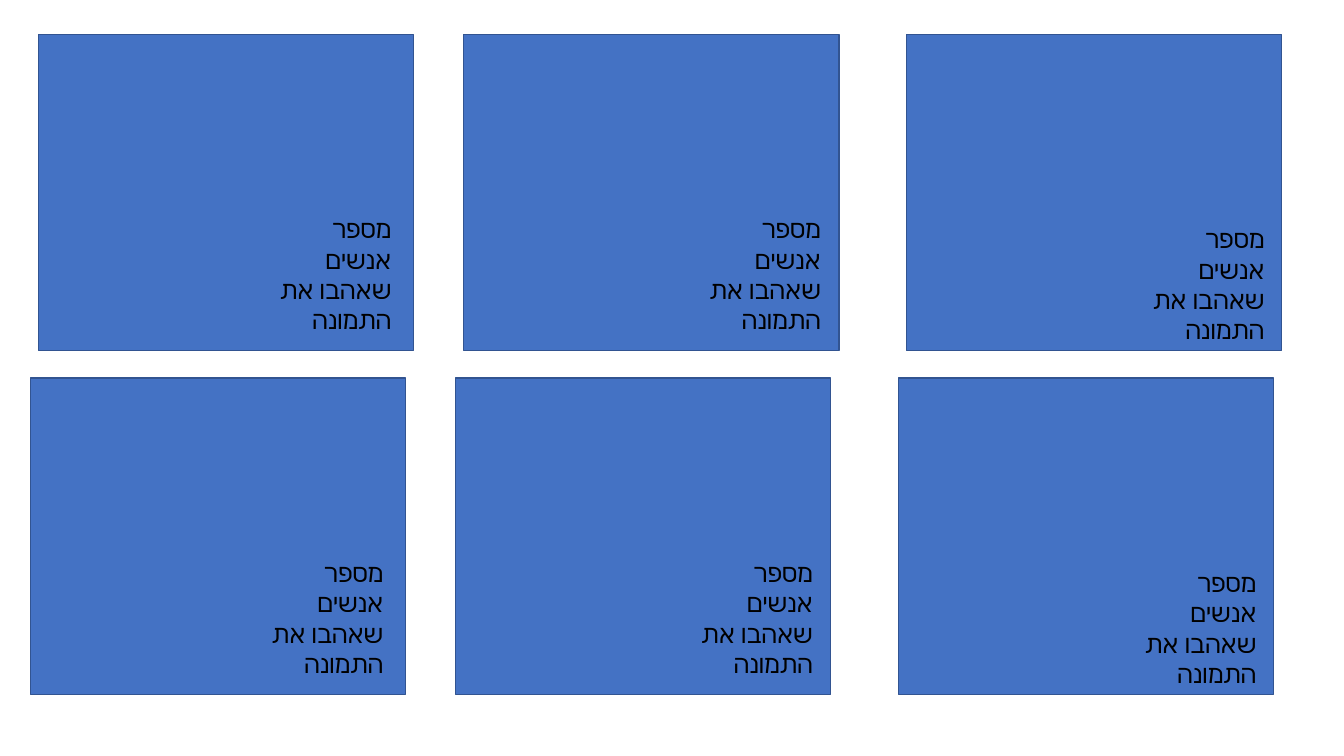
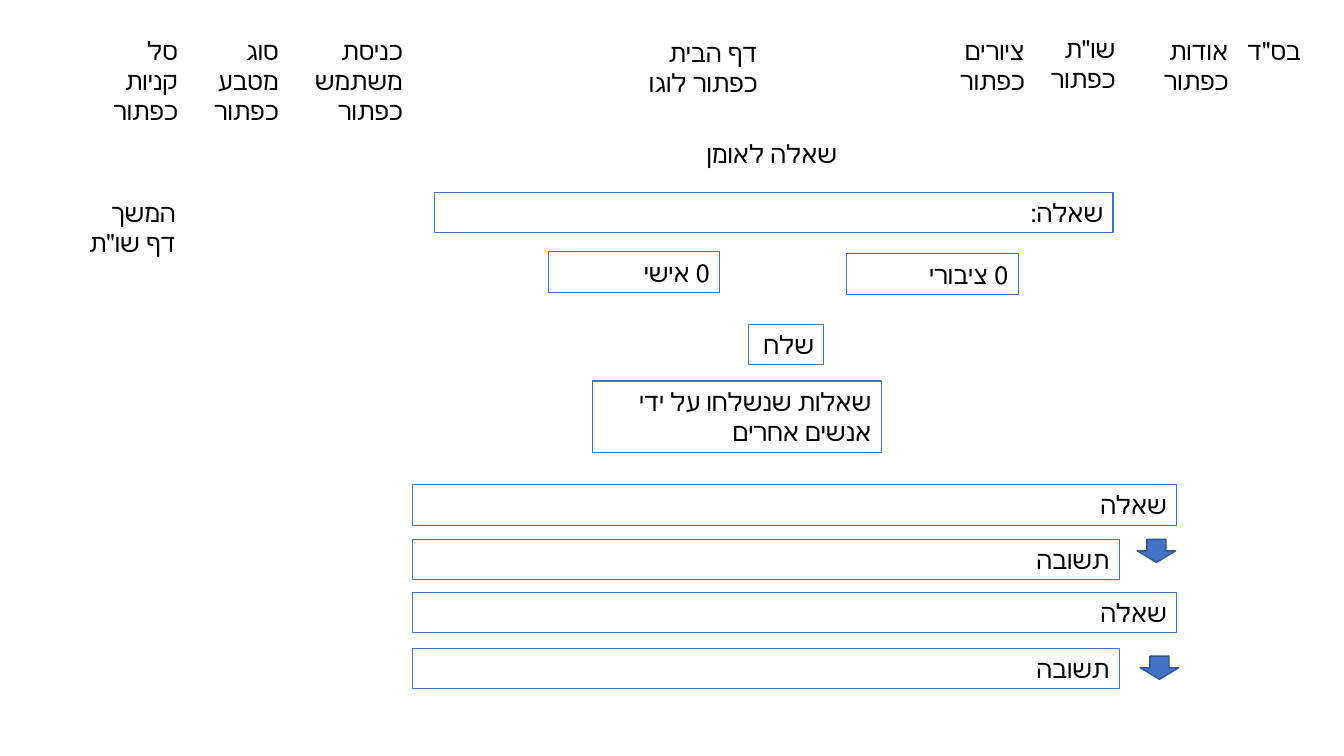
from dataclasses import dataclass
from pptx import Presentation
from pptx.dml.color import RGBColor
from pptx.enum.lang import MSO_LANGUAGE_ID
from pptx.enum.shapes import MSO_SHAPE
from pptx.enum.text import MSO_ANCHOR, MSO_AUTO_SIZE, PP_ALIGN
from pptx.util import Inches, Pt

# Content: gallery slide
CAPTION = "מספר אנשים שאהבו את התמונה"
CARD = (3.72, 3.14)
NOTE = (1.43, 1.31)
ROWS = [(0, 0.34), (-0.08, 3.75)]  # shift of the row, top
COLS = [(0.38, 2.17, 1.73), (4.6, 2.21, 1.73), (8.99, 2.22, 1.83)]  # left, note offset

# Content: question slide, each with left, top, width, height
BUTTON = "כפתור"
LABELS = [
    (['בס"ד'], (12.08, 0.3, 0.92, 0.4)),
    (["דף הבית כפתור לוגו"], (6.19, 0.32, 1.42, 0.71)),
    (["אודות", BUTTON], (10.73, 0.3, 1.55, 0.71)),
    (["סל קניות ", BUTTON], (0.79, 0.3, 1.07, 1.01)),
    (["סוג מטבע", BUTTON], (1.9, 0.3, 0.96, 1.01)),
    (["כניסת משתמש", BUTTON], (2.64, 0.3, 1.45, 1.01)),
    (["ציורים", BUTTON], (9.38, 0.3, 0.88, 0.71)),
    (['שו"ת', BUTTON], (9.8, 0.28, 1.36, 0.71)),
    (['המשך דף שו"ת '], (0.66, 1.91, 1.18, 0.71)),
    (["שאלה לאומן"], (5.88, 1.32, 2.52, 0.4)),
]
FIELDS = [
    ("שאלה:", (4.31, 1.91, 6.73, 0.4)),
    ("0 ציבורי", (8.4, 2.52, 1.7, 0.4)),
    ("0 אישי", (5.44, 2.5, 1.7, 0.4)),
    ("שלח", (7.42, 3.22, 0.75, 0.4)),
    ("שאלות שנשלחו על ידי אנשים אחרים", (5.88, 3.78, 2.86, 0.71)),
]
THREAD = [("שאלה", 7.58, (4.81, 5.88)), ("תשובה", 7.01, (5.35, 6.43))]
THREAD_LEFT = 4.09
ARROWS = [(11.28, 5.35, 0.38, 0.23), (11.31, 6.51, 0.38, 0.23)]


@dataclass(frozen=True)
class Theme:
    """Colours, type and line widths of both slides."""
    fill: RGBColor = RGBColor(0x44, 0x72, 0xC4)
    edge: RGBColor = RGBColor(0x32, 0x54, 0x91)
    ink: RGBColor = RGBColor(0, 0, 0)
    font: str = "Calibri"
    size: float = 18
    thick: float = 1
    thin: float = 0.75


THEME = Theme()
FRAME = {"word_wrap": True, "vertical_anchor": MSO_ANCHOR.TOP,
         "auto_size": MSO_AUTO_SIZE.SHAPE_TO_FIT_TEXT}
FONT = {"name": THEME.font, "size": Pt(THEME.size),
        "language_id": MSO_LANGUAGE_ID.HEBREW}


def apply(target, values):
    """Set every attribute named in values."""
    for name, value in values.items():
        setattr(target, name, value)


def write(shape, lines):
    """Fill a shape with right-to-left paragraphs."""
    frame = shape.text_frame
    apply(frame, FRAME)
    for i, line in enumerate(lines):
        para = frame.paragraphs[0] if i == 0 else frame.add_paragraph()
        para.alignment = PP_ALIGN.RIGHT
        para._p.get_or_add_pPr().set("rtl", "1")
        run = para.add_run()
        run.text = line
        apply(run.font, FONT)
        run.font.color.rgb = THEME.ink


def label(slide, lines, box):
    """Add plain text without an outline."""
    write(slide.shapes.add_textbox(*map(Inches, box)), lines)


def outline(slide, kind, box, color, width):
    """Add a preset shape with a line and no shadow."""
    shape = slide.shapes.add_shape(kind, *map(Inches, box))
    shape.shadow.inherit = False
    shape.line.color.rgb = color
    shape.line.width = Pt(width)
    return shape


def solid(slide, kind, box):
    """Add a blue shape with a dark edge."""
    shape = outline(slide, kind, box, THEME.edge, THEME.thick)
    shape.fill.solid()
    shape.fill.fore_color.rgb = THEME.fill


def field(slide, text, box):
    """Add an open form field with its text."""
    shape = outline(slide, MSO_SHAPE.RECTANGLE, box, THEME.fill, THEME.thin)
    shape.fill.background()
    write(shape, [text])


def gallery(slide):
    """Draw the grid of cards and their captions."""
    for shift, top in ROWS:
        for col, dx, dy in COLS:
            left = col + shift
            solid(slide, MSO_SHAPE.RECTANGLE, (left, top, *CARD))
            label(slide, [CAPTION], (left + dx, top + dy, *NOTE))


def questions(slide):
    """Draw the menu, the form and the thread of answers."""
    for lines, box in LABELS:
        label(slide, lines, box)
    for text, box in FIELDS:
        field(slide, text, box)
    for text, width, tops in THREAD:
        for top in tops:
            field(slide, text, (THREAD_LEFT, top, width, 0.4))
    for box in ARROWS:
        solid(slide, MSO_SHAPE.DOWN_ARROW, box)


def main():
    """Build both slides and save them."""
    deck = Presentation()
    apply(deck, {"slide_width": Inches(13.33), "slide_height": Inches(7.5)})
    blank = deck.slide_layouts[6]
    for draw in (gallery, questions):
        draw(deck.slides.add_slide(blank))
    deck.save("out.pptx")


main()
